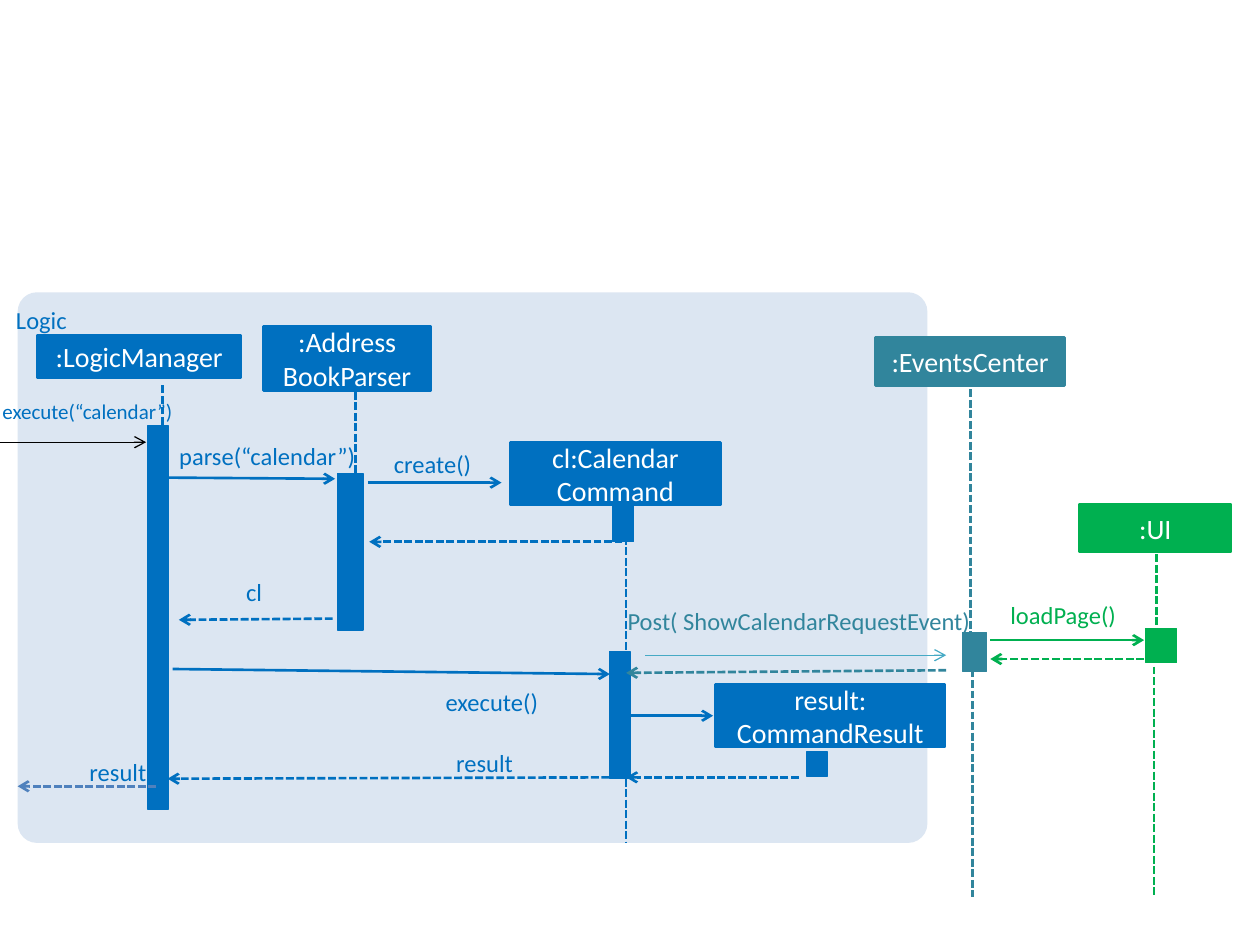
"""Build a sequence diagram of the calendar command."""
from lxml import etree
from pptx import Presentation
from pptx.dml.color import RGBColor
from pptx.enum.dml import MSO_LINE
from pptx.enum.shapes import MSO_CONNECTOR, MSO_SHAPE
from pptx.enum.text import MSO_ANCHOR, PP_ALIGN
from pptx.oxml.ns import qn
from pptx.util import Pt

RECT, ROUND = MSO_SHAPE.RECTANGLE, MSO_SHAPE.ROUNDED_RECTANGLE
STRAIGHT, DASH = MSO_CONNECTOR.STRAIGHT, MSO_LINE.SQUARE_DOT
LEFT, CENTER, RIGHT = PP_ALIGN.LEFT, PP_ALIGN.CENTER, PP_ALIGN.RIGHT
TOP, MIDDLE = MSO_ANCHOR.TOP, MSO_ANCHOR.MIDDLE

FONT = "Calibri"
BLUE, TEAL, GREEN = "0070C0", "31859C", "00B050"
WHITE, BLACK, PANEL = "FFFFFF", "000000", "DCE6F2"
PALE_BLUE, PALE_TEAL = "4F81BD", "46AAC5"

LOGIC_PANEL = (10.08, 167.04, 519.84, 314.64)

# left, top, width, height, paragraphs (each a list of lines), colour
PARTICIPANTS = [
    (21.6, 191.5, 115.9, 24.5, [[":LogicManager"]], BLUE),
    (150.5, 186.5, 95.8, 36.7, [[":Address"], ["BookParser"]], BLUE),
    (291.6, 252.7, 120.2, 36, [["cl:Calendar", "Command"]], BLUE),
    (409, 391, 131, 36, [["result:", "CommandResult"]], BLUE),
    (500.4, 193, 108, 27.4, [[":EventsCenter"]], TEAL),
    (617, 288, 86.4, 27.4, [[":UI"]], GREEN),
]

# x, top, bottom, colour
LIFELINES = [
    (92.9, 220.3, 424.8, BLUE),
    (203, 223.9, 361.4, BLUE),
    (357.8, 288.7, 481.7, BLUE),
    (554.4, 222.5, 361.4, TEAL),
    (555.8, 376.6, 512.6, TEAL),
    (661, 316.8, 361.4, GREEN),
    (659.5, 380.9, 512.6, GREEN),
]

# left, top, width, height, colour
ACTIVATIONS = [
    (84.2, 243.4, 12.2, 218.9, BLUE),
    (193, 270.7, 14.4, 89.3, BLUE),
    (349.9, 288, 12.2, 21.6, BLUE),
    (348.5, 372.2, 11.5, 72.7, BLUE),
    (460.8, 429.8, 12.2, 13.7, BLUE),
    (550.1, 361.4, 13.7, 22.3, TEAL),
    (654.5, 359.3, 18, 19.4, GREEN),
]

# start x, start y, end x, end y, colour, line width
CALLS = [
    (0, 252.7, 83.5, 252.7, BLACK, 0.75),
    (91.4, 272.9, 191.5, 273.6, BLUE, 1.5),
    (210.2, 275.8, 286.6, 275.8, BLUE, 1.5),
    (98.6, 382.3, 348.5, 385.2, BLUE, 1.5),
    (350.6, 409, 407.5, 409, BLUE, 1.5),
    (368.6, 374.4, 540.7, 374.4, PALE_TEAL, 0.75),
    (565.9, 365.8, 653.8, 365.8, GREEN, 1.5),
]
RETURNS = [
    (355.7, 309.6, 211, 309.6, BLUE, 1.5),
    (190.1, 353.5, 102.2, 354.2, BLUE, 1.5),
    (540.7, 383, 357.8, 384.5, TEAL, 1.5),
    (653.8, 376.6, 565.9, 376.6, GREEN, 1.5),
    (456.5, 444.2, 357.8, 444.2, BLUE, 1.5),
    (354.2, 444.2, 95.8, 445, BLUE, 1.5),
    (89.3, 449.3, 10.1, 449.3, PALE_BLUE, 1.5),
]

# left, top, width, text, size, alignment, colour
LABELS = [
    (0, 174.2, 38.2, "Logic", 14, RIGHT, BLUE),
    (0, 227.5, 98.6, "execute(“calendar”)", 12, RIGHT, BLUE),
    (90.7, 252, 112.3, "parse(“calendar”)", 14, RIGHT, BLUE),
    (218.9, 256.3, 50.4, "create()", 14, RIGHT, BLUE),
    (132.5, 329.8, 17.3, "cl", 14, RIGHT, BLUE),
    (239.8, 392.4, 67.7, "execute()", 14, RIGHT, BLUE),
    (244.1, 427.7, 49, "result", 14, RIGHT, BLUE),
    (23.8, 432.7, 59.8, "result", 14, RIGHT, BLUE),
    (358.6, 346.3, 353.5, "Post( ShowCalendarRequestEvent)", 14, LEFT, TEAL),
    (577.4, 342.7, 118.1, "loadPage()", 14, LEFT, GREEN),
]


def rgb(color):
    return RGBColor.from_string(color)


def write(sp, paragraphs, size, color, align, anchor):
    tf = sp.text_frame
    tf.word_wrap = True
    tf.vertical_anchor = anchor
    for i, lines in enumerate(paragraphs):
        p = tf.paragraphs[0] if i == 0 else tf.add_paragraph()
        p.alignment = align
        for j, line in enumerate(lines):
            if j:
                p.add_line_break()
            r = p.add_run()
            r.text = line
            r.font.name, r.font.size = FONT, Pt(size)
            r.font.color.rgb = rgb(color)


def add_box(s, kind, box, fill, width=0):
    sp = s.shapes.add_shape(kind, *map(Pt, box))
    sp.shadow.inherit = False
    sp.fill.solid()
    sp.fill.fore_color.rgb = rgb(fill)
    if width:
        sp.line.color.rgb = rgb(fill)
        sp.line.width = Pt(width)
    else:
        sp.line.fill.background()
    return sp


def add_line(s, points, color, width=1.5, dashed=False, arrow=False):
    cn = s.shapes.add_connector(STRAIGHT, *map(Pt, points))
    cn.line.color.rgb = rgb(color)
    cn.line.width = Pt(width)
    if dashed:
        cn.line.dash_style = DASH
    if arrow:
        ln = cn.line._get_or_add_ln()
        etree.SubElement(ln, qn("a:tailEnd")).set("type", "arrow")
    etree.SubElement(cn._element.spPr, qn("a:effectLst"))


def add_label(s, left, top, width, text, size, align, color):
    sp = s.shapes.add_textbox(Pt(left), Pt(top), Pt(width), Pt(size * 1.22))
    tf = sp.text_frame
    tf.margin_left = tf.margin_right = tf.margin_top = tf.margin_bottom = 0
    write(sp, [[text]], size, color, align, TOP)


def main():
    prs = Presentation()
    prs.slide_width, prs.slide_height = Pt(720), Pt(540)
    s = prs.slides.add_slide(prs.slide_layouts[6])

    add_box(s, ROUND, LOGIC_PANEL, PANEL).adjustments[0] = 0.035
    for x, top, bottom, color in LIFELINES:
        add_line(s, (x, top, x, bottom), color, dashed=True)
    for *box, paragraphs, color in PARTICIPANTS:
        sp = add_box(s, RECT, box, color, 1.5)
        write(sp, paragraphs, 16, WHITE, CENTER, MIDDLE)
    for *box, color in ACTIVATIONS:
        add_box(s, RECT, box, color, 0.75)
    for messages, dashed in ((CALLS, False), (RETURNS, True)):
        for *points, color, width in messages:
            add_line(s, points, color, width, dashed, arrow=True)
    for label in LABELS:
        add_label(s, *label)

    prs.save("out.pptx")


if __name__ == "__main__":
    main()
